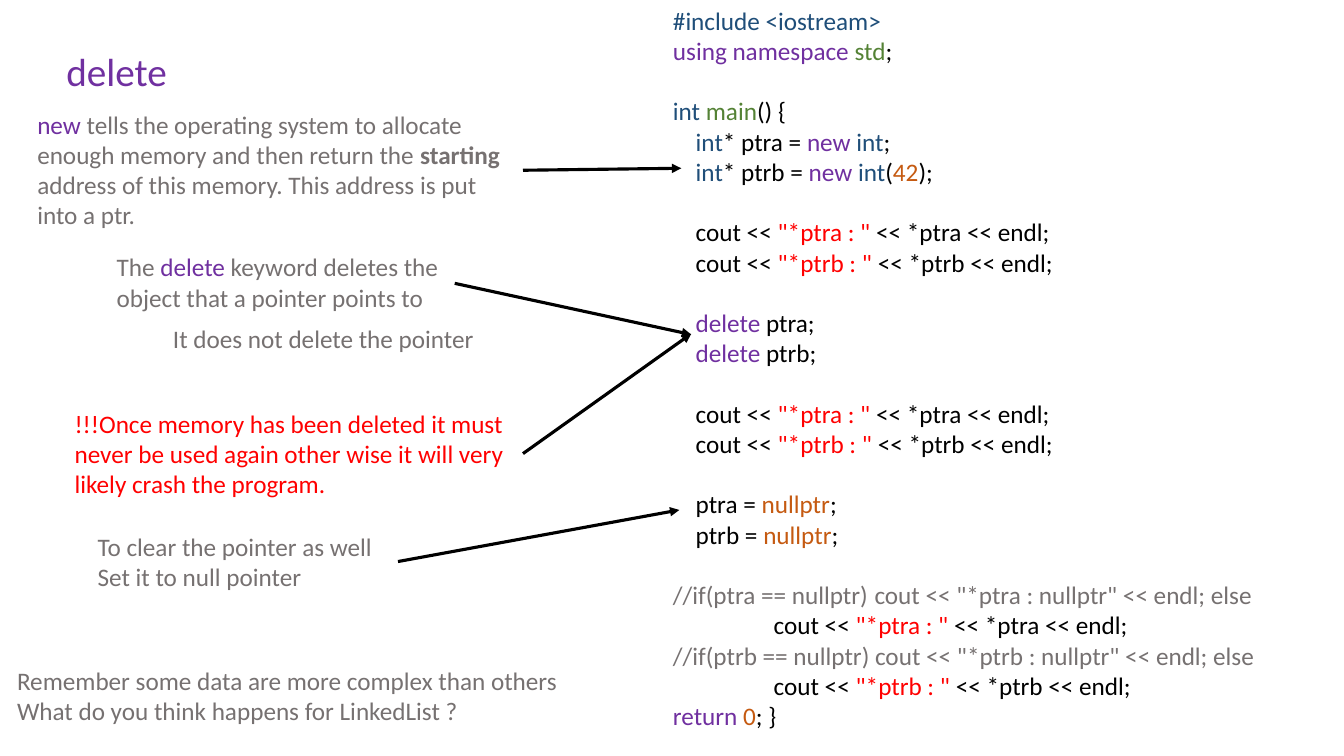
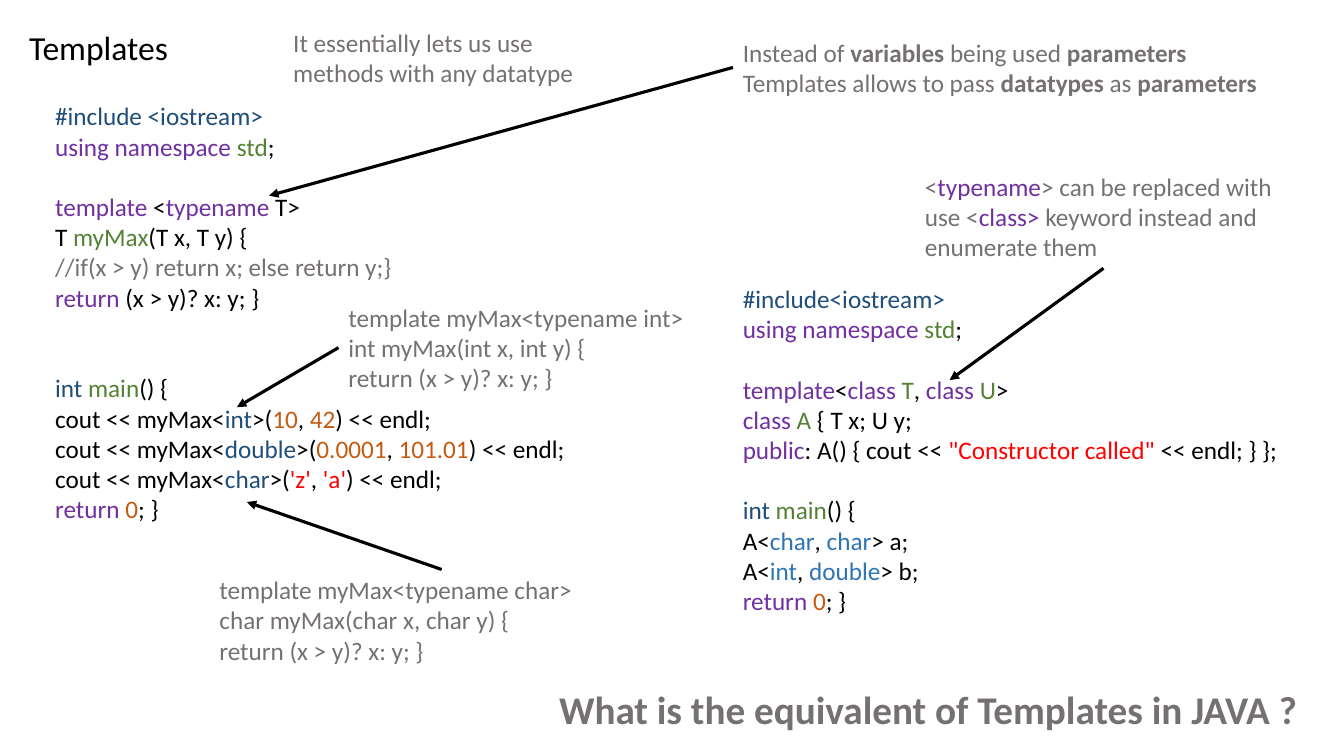
from dataclasses import dataclass, field

from lxml import etree
from pptx import Presentation
from pptx.dml.color import RGBColor
from pptx.enum.shapes import MSO_CONNECTOR
from pptx.enum.text import MSO_ANCHOR, MSO_AUTO_SIZE, PP_ALIGN
from pptx.oxml.ns import qn
from pptx.util import Cm, Pt

STRAIGHT = MSO_CONNECTOR.STRAIGHT
TOP = MSO_ANCHOR.TOP
NO_AUTOFIT = MSO_AUTO_SIZE.NONE
LEFT = PP_ALIGN.LEFT
TITLE_ONLY = 5


@dataclass
class Theme:
    font: str = "Calibri"
    body: int = 18
    subtitle: int = 24
    heading: int = 28
    blank_line: float = 21.6
    arrow_width: float = 2.25
    tab_step: float = 2.54
    colors: dict = field(default_factory=lambda: {
        "code": "000000",
        "key": "7030A0",
        "type": "1F4E79",
        "argument": "2E75B6",
        "name": "548235",
        "value": "C55A11",
        "string": "FF0000",
        "note": "767171",
    })


theme = Theme()

# Text markup: [style|words] gives words a style; an empty line becomes a gap.
DELETE_CODE = """[type|#include <iostream>]
[key|using namespace ][name|std];

[type|int ][name|main]() {
    [type|int]* ptra = [key|new ][type|int];
    [type|int]* ptrb = [key|new ][type|int]([value|42]);

    cout << [string|"*ptra : " ]<< *ptra << endl;
    cout << [string|"*ptrb : " ]<< *ptrb << endl;

    [key|delete ]ptra;
    [key|delete ]ptrb;

    cout << [string|"*ptra : " ]<< *ptra << endl;
    cout << [string|"*ptrb : " ]<< *ptrb << endl;

    ptra = [value|nullptr];
    ptrb = [value|nullptr];

[note|//if(ptra == nullptr) \tcout << "*ptra : nullptr" << endl; else]
\tcout << [string|"*ptra : " ]<< *ptra << endl;
[note|//if(ptrb == nullptr) cout << "*ptrb : nullptr" << endl; else]
\tcout << [string|"*ptrb : " ]<< *ptrb << endl;
[key|return ][value|0]; }"""

FUNCTION_TEMPLATE_CODE = """[type|#include <iostream>]
[key|using namespace ][name|std];

[key|template] <[key|typename] T>
T [name|myMax](T x, T y) {
[note|//if(x > y) return x; else return y;}]
[key|return] (x > y)? x: y; }


[type|int ][name|main]() {
cout << myMax<[type|int]>([value|10], [value|42]) << endl;
cout << myMax<[type|double]>([value|0.0001], [value|101.01]) << endl;
cout << myMax<[type|char]>([string|'z'], [string|'a']) << endl;
[key|return ][value|0]; }"""

CLASS_TEMPLATE_CODE = """[type|#include<iostream>]
[key|using namespace ][name|std];

[key|template]<[key|class ][name|T], [key|class ][name|U]>
[key|class ][name|A] { T x; U y;
[key|public]: A() { cout << [string|"Constructor called" ]<< endl; } };

[type|int ][name|main]() {
A<[argument|char], [argument|char]> a;
A<[argument|int], [argument|double]> b;
[key|return ][value|0]; }"""

# Titles and boxes: (left, top, width, height) in cm, style, size, text.
# Arrows: (start x, start y, end x, end y) in cm.
slides = [
    {
        "title": ((1.42, 1.07, 6, 1.45), "key", theme.heading, "delete"),
        "boxes": [
            ((16.71, 0, 17, 18.72), "code", theme.body, DELETE_CODE),
            ((0.69, 2.62, 12.5, 3.33), "note", theme.body,
             "[key|new ]tells the operating system to allocate enough memory "
             "and then return the [bold|starting] address of this memory. "
             "This address is put into a ptr."),
            ((2.69, 6.22, 8.76, 1.8), "note", theme.body,
             "The [key|delete] keyword deletes the object that a pointer "
             "points to"),
            ((4.11, 8.03, 9, 1.02), "note", theme.body,
             "It does not delete the pointer"),
            ((1.63, 10.16, 11.56, 2.57), "string", theme.body,
             "!!!Once memory has been deleted it must never be used again "
             "other wise it will very likely crash the program."),
            ((2.21, 13.26, 7.82, 1.8), "note", theme.body,
             "To clear the pointer as well\nSet it to null pointer"),
            ((0.18, 16.64, 15, 1.8), "note", theme.body,
             "Remember some data are more complex than others\n"
             "What do you think happens for LinkedList ?"),
        ],
        "arrows": [
            (13.18, 4.29, 17.17, 4.24),
            (11.46, 7.14, 17.42, 8.43),
            (13.18, 11.43, 17.42, 8.41),
            (10.03, 14.15, 17.12, 12.85),
        ],
    },
    {
        "title": ((0.48, 0.56, 6, 1.27), "code", theme.subtitle, "Templates"),
        "boxes": [
            ((1.14, 2.41, 14.5, 11.02), "code", theme.body,
             FUNCTION_TEMPLATE_CODE),
            ((18.47, 7.01, 15, 8.71), "code", theme.body,
             CLASS_TEMPLATE_CODE),
            ((7.14, 0.56, 8.61, 1.8), "note", theme.body,
             "It essentially lets us use methods with any datatype"),
            ((18.47, 0.81, 14.5, 1.8), "note", theme.body,
             "Instead of [bold|variables] being used [bold|parameters]\n"
             "Templates allows to pass [bold|datatypes] as "
             "[bold|parameters]"),
            ((23.06, 4.19, 9.47, 2.57), "note", theme.body,
             "<[key|typename]> can be replaced with use <[key|class> ]"
             "keyword instead and enumerate them"),
            ((8.53, 7.49, 9.58, 2.57), "note", theme.body,
             "template myMax<typename int>\nint myMax(int x, int y) {\n"
             "return (x > y)? x: y; }"),
            ((5.28, 14.35, 11.73, 2.57), "note", theme.body,
             "template myMax<typename char>\nchar myMax(char x, char y) {\n"
             "return (x > y)? x: y; }"),
            ((13.84, 17.15, 19.41, 1.45), "note", theme.heading,
             "[bold|What is the equivalent of Templates in JAVA ?]"),
        ],
        "arrows": [
            (18.47, 1.7, 6.78, 4.93),
            (27.81, 6.76, 23.93, 9.58),
            (8.53, 8.76, 5.97, 10.26),
            (11.13, 14.35, 6.22, 12.65),
        ],
    },
]


def add_styled_run(paragraph, words, color, size, bold=False):
    if not words:
        return
    run = paragraph.add_run()
    run.text = words
    run.font.name = theme.font
    run.font.size = Pt(size)
    run.font.bold = bold
    run.font.color.rgb = RGBColor.from_string(theme.colors[color])


def write_text(shape, style, size, text):
    text_frame = shape.text_frame
    text_frame.word_wrap = True
    text_frame.auto_size = NO_AUTOFIT
    text_frame.vertical_anchor = TOP
    paragraph = None
    blank_lines = 0
    for line in text.split("\n"):
        if not line:
            blank_lines += 1
            continue
        paragraph = (text_frame.add_paragraph() if paragraph
                     else text_frame.paragraphs[0])
        if "\t" in line:
            properties = paragraph._p.get_or_add_pPr()
            tab_list = etree.SubElement(properties, qn("a:tabLst"))
            for step in (1, 2):
                etree.SubElement(tab_list, qn("a:tab"), algn="l",
                                 pos=str(Cm(step * theme.tab_step)))
        paragraph.alignment = LEFT
        if blank_lines:
            paragraph.space_before = Pt(blank_lines * theme.blank_line)
            blank_lines = 0
        # Each piece after the first starts with a styled part
        plain, *pieces = line.split("[")
        add_styled_run(paragraph, plain, style, size)
        for piece in pieces:
            styled, plain = piece.split("]")
            tag, words = styled.split("|")
            bold = tag == "bold"
            add_styled_run(paragraph, words, style if bold else tag, size, bold)
            add_styled_run(paragraph, plain, style, size)


presentation = Presentation()
presentation.slide_width = Cm(33.87)
presentation.slide_height = Cm(19.05)

for content in slides:
    slide = presentation.slides.add_slide(
        presentation.slide_layouts[TITLE_ONLY])

    # Title
    position, style, size, text = content["title"]
    title = slide.shapes.title
    title.left, title.top, title.width, title.height = map(Cm, position)
    write_text(title, style, size, text)

    # Code and remarks
    for position, style, size, text in content["boxes"]:
        box = slide.shapes.add_textbox(*map(Cm, position))
        write_text(box, style, size, text)

    # Arrows from remarks to code
    for ends in content["arrows"]:
        arrow = slide.shapes.add_connector(STRAIGHT, *map(Cm, ends))
        arrow.line.color.rgb = RGBColor.from_string(theme.colors["code"])
        arrow.line.width = Pt(theme.arrow_width)
        shape_properties = arrow._element.spPr
        etree.SubElement(shape_properties.find(qn("a:ln")), qn("a:tailEnd"),
                         type="triangle")
        etree.SubElement(shape_properties, qn("a:effectLst"))

presentation.save("out.pptx")
